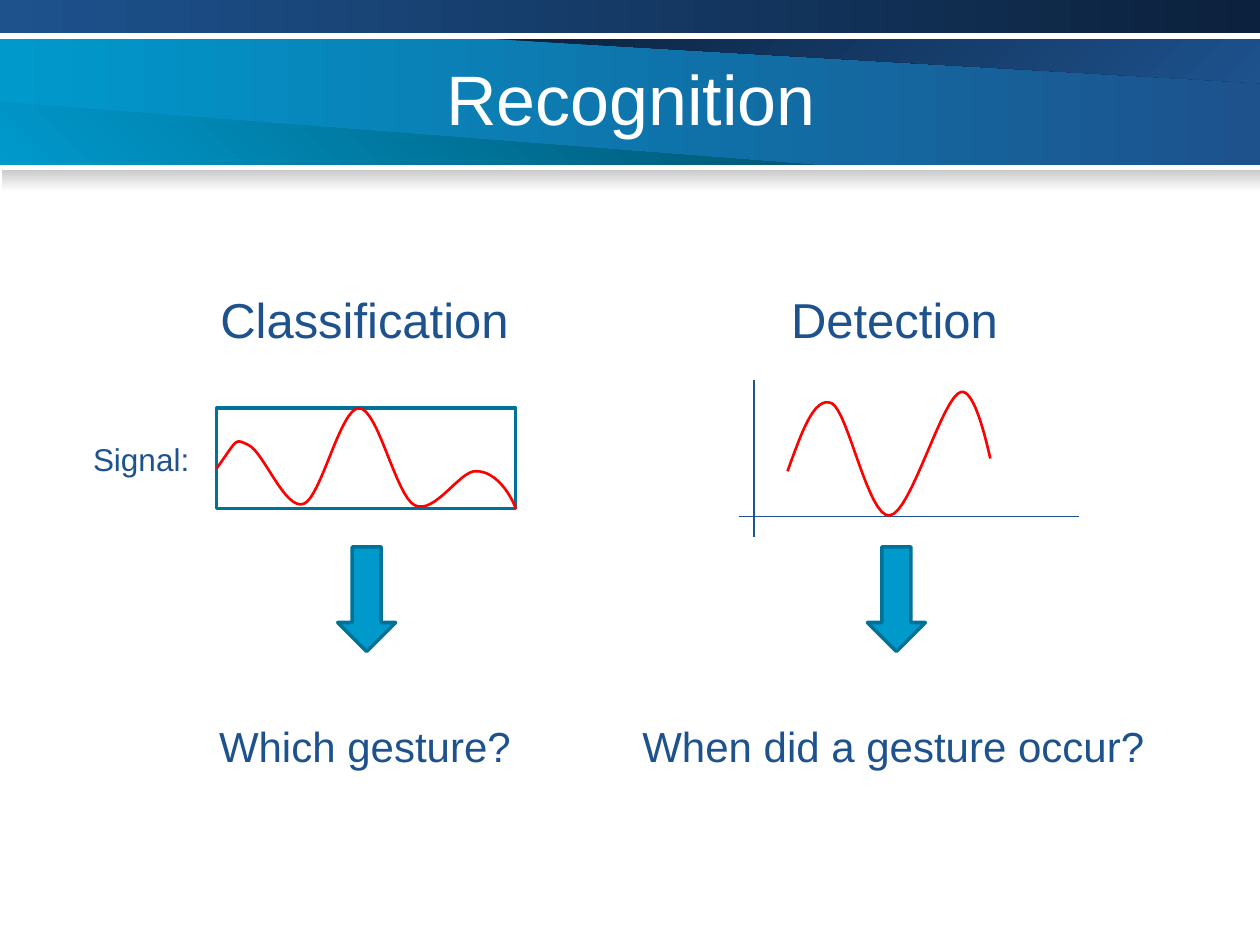
"""Build the Recognition slide: classification beside detection."""
from dataclasses import dataclass
from typing import Any, NamedTuple

from lxml import etree
from pptx import Presentation
from pptx.dml.color import RGBColor
from pptx.enum import shapes, text
from pptx.oxml import ns
from pptx.util import Pt

Spot = tuple[float, float]
Box = tuple[float, float, float, float]


@dataclass(frozen=True)
class Theme:
    face: str = "Arial"
    white: str = "FFFFFF"
    blue: str = "1D528D"
    navy: str = "0C213D"
    sky: str = "0099CC"
    teal: str = "007197"
    deep: str = "005470"
    grey: str = "CACACA"
    red: str = "FF0000"
    title: int = 40
    head: int = 28
    ask: int = 24
    note: int = 18
    hair: float = 0.75
    wave: float = 1.5
    edge: float = 2


class Blend(NamedTuple):
    first: str
    last: str
    angle: int = 0


class Band(NamedTuple):
    spots: list[Spot]
    blend: Blend


class Bar(NamedTuple):
    box: Box
    blend: Blend


class Label(NamedTuple):
    words: str
    box: Box
    size: int


THEME = Theme()
BARS = [
    Bar((0, 22.3, 720, 72), Blend(THEME.sky, THEME.blue)),
    Bar((0, 0, 720, 18.9), Blend(THEME.blue, THEME.navy)),
    Bar((1, 97.2, 719, 12.2), Blend(THEME.grey, THEME.white, 270)),
]
BANDS = [
    Band([(720, 22.3), (283, 22.3), (720, 47.5)], Blend(THEME.navy, THEME.blue, 315)),
    Band([(0, 94.3), (465, 94.3), (0, 58.3)], Blend(THEME.sky, THEME.deep, 45)),
]
LABELS = [
    Label("Classification", (118.8, 162, 181.4, 41), THEME.head),
    Label("Detection", (445, 162, 133.9, 41), THEME.head),
    Label("Signal:", (46.1, 247.7, 69.8, 28.8), THEME.note),
    Label("Which gesture?", (118.1, 408.2, 182.9, 36), THEME.ask),
    Label("When did a gesture occur?", (360, 408.2, 304.6, 36), THEME.ask),
]
WAVES: list[list[Spot]] = [
    [(123.8, 267.8), (136.1, 250.6), (133.9, 250.6), (141.8, 254.2),
     (150.5, 257.8), (162.7, 291.6), (173.5, 288), (183.6, 284.4),
     (194.4, 233.3), (205.2, 233.3), (216, 233.3), (226.1, 283),
     (236.9, 288.7), (248.4, 294.5), (262.8, 268.6), (272.2, 269.3),
     (282.2, 269.3), (290.9, 280.1), (294.9, 290.9)],
    [(450, 269.3), (457.9, 247.7), (465.1, 226.1), (475.2, 230.4),
     (484.6, 234.7), (496.1, 295.9), (508.3, 294.5), (520.6, 293.8),
     (538.6, 225.4), (549.4, 223.9), (555.8, 223.2), (561.6, 243),
     (565.9, 262)],
]
FRAME: Box = (123.8, 233.3, 170.9, 57.4)
AXES: list[Box] = [(430.8, 217, 430.8, 306.7), (422.3, 295, 616.8, 295)]
ARROWS: list[Box] = [(x, 312.5, 33.1, 59.8) for x in (193, 495.7)]


def apply(item: Any, values: dict[str, Any]) -> None:
    """Set each named value on the item."""
    for name, value in values.items():
        setattr(item, name, value)


def ink(code: str) -> RGBColor:
    """Turn a hex code into a colour."""
    return RGBColor.from_string(code)


def points(box: tuple) -> list:
    """Turn numbers into lengths in points."""
    return [Pt(value) for value in box]


def style(shape: Any, fill: str | Blend | None, line: str | None, width: float = 0) -> None:
    """Give a shape its fill and line, with no shadow."""
    shape.shadow.inherit = False
    if isinstance(fill, Blend):
        shape.fill.gradient()
        shape.fill.gradient_angle = fill.angle
        for stop, code in zip(shape.fill.gradient_stops, fill[:2]):
            stop.color.rgb = ink(code)
    elif fill:
        shape.fill.solid()
        shape.fill.fore_color.rgb = ink(fill)
    else:
        shape.fill.background()
    if line:
        shape.line.color.rgb = ink(line)
        shape.line.width = Pt(width)
    else:
        shape.line.fill.background()


def outline(slide: Any, spots: list[Spot], close: bool) -> Any:
    """Draw an outline through the spots."""
    first, *rest = [points(spot) for spot in spots]
    pen = slide.shapes.build_freeform(*first, scale=1.0)
    pen.add_line_segments(rest, close=close)
    return pen.convert_to_shape()


def curve(knots: list[Spot], steps: int = 16) -> list[Spot]:
    """Trace a chain of cubic curves as closely spaced spots."""
    spots = [knots[0]]
    for start in range(0, len(knots) - 1, 3):
        part = knots[start:start + 4]
        for step in range(1, steps + 1):
            t = step / steps
            parts = ((1 - t) ** 3, 3 * t * (1 - t) ** 2, 3 * t * t * (1 - t), t ** 3)
            spots.append(tuple(sum(w * k[axis] for w, k in zip(parts, part))
                               for axis in (0, 1)))
    return spots


def write(frame: Any, words: str, size: int, code: str) -> None:
    """Put one styled paragraph in a text frame."""
    frame.text = words
    font = frame.paragraphs[0].font
    apply(font, {"name": THEME.face, "size": Pt(size)})
    font.color.rgb = ink(code)


def label(slide: Any, item: Label) -> None:
    """Add a text box that grows with its words."""
    frame = slide.shapes.add_textbox(*points(item.box)).text_frame
    write(frame, item.words, item.size, THEME.blue)
    apply(frame, {"word_wrap": False, "auto_size": text.MSO_AUTO_SIZE.SHAPE_TO_FIT_TEXT})


def axis(slide: Any, ends: Box) -> None:
    """Add a thin straight axis."""
    line = slide.shapes.add_connector(shapes.MSO_CONNECTOR.STRAIGHT, *points(ends))
    line.line.color.rgb = ink(THEME.blue)
    line.line.width = Pt(THEME.hair)
    etree.SubElement(line.element.spPr, ns.qn("a:effectLst"))


def head(slide: Any, words: str) -> None:
    """Fill the title and bring it in front of the banner."""
    title = slide.shapes.title
    left, top, width, height = points((99.4, 21.6, 522, 68.4))
    apply(title, {"left": left, "top": top, "width": width, "height": height})
    frame = title.text_frame
    write(frame, words, THEME.title, THEME.white)
    apply(frame, {"vertical_anchor": text.MSO_ANCHOR.MIDDLE, "word_wrap": True,
                  "auto_size": text.MSO_AUTO_SIZE.NONE})
    frame.paragraphs[0].alignment = text.PP_ALIGN.CENTER
    title.element.getparent().append(title.element)


def main() -> None:
    """Build and save the slide."""
    deck = Presentation()
    apply(deck, {"slide_width": Pt(720), "slide_height": Pt(540)})
    slide = deck.slides.add_slide(deck.slide_layouts.get_by_name("Title Only"))
    kind = shapes.MSO_SHAPE
    for bar in BARS:
        style(slide.shapes.add_shape(kind.RECTANGLE, *points(bar.box)), bar.blend, None)
    for band in BANDS:
        style(outline(slide, band.spots, True), band.blend, None)
    head(slide, "Recognition")
    for ends in AXES:
        axis(slide, ends)
    style(slide.shapes.add_shape(kind.RECTANGLE, *points(FRAME)), None, THEME.teal, THEME.edge)
    for knots in WAVES:
        style(outline(slide, curve(knots), False), None, THEME.red, THEME.wave)
    for box in ARROWS:
        style(slide.shapes.add_shape(kind.DOWN_ARROW, *points(box)),
              THEME.sky, THEME.teal, THEME.edge)
    for item in LABELS:
        label(slide, item)
    deck.save("out.pptx")


if __name__ == "__main__":
    main()
